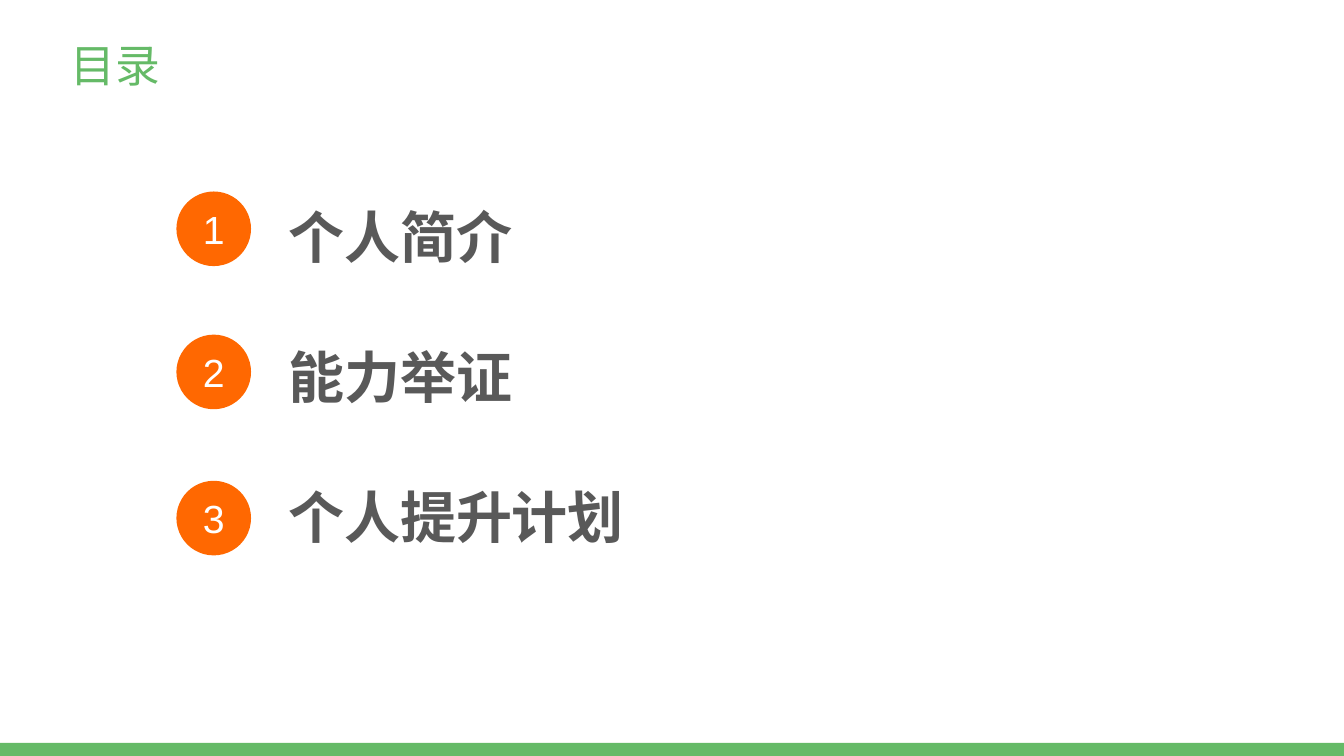
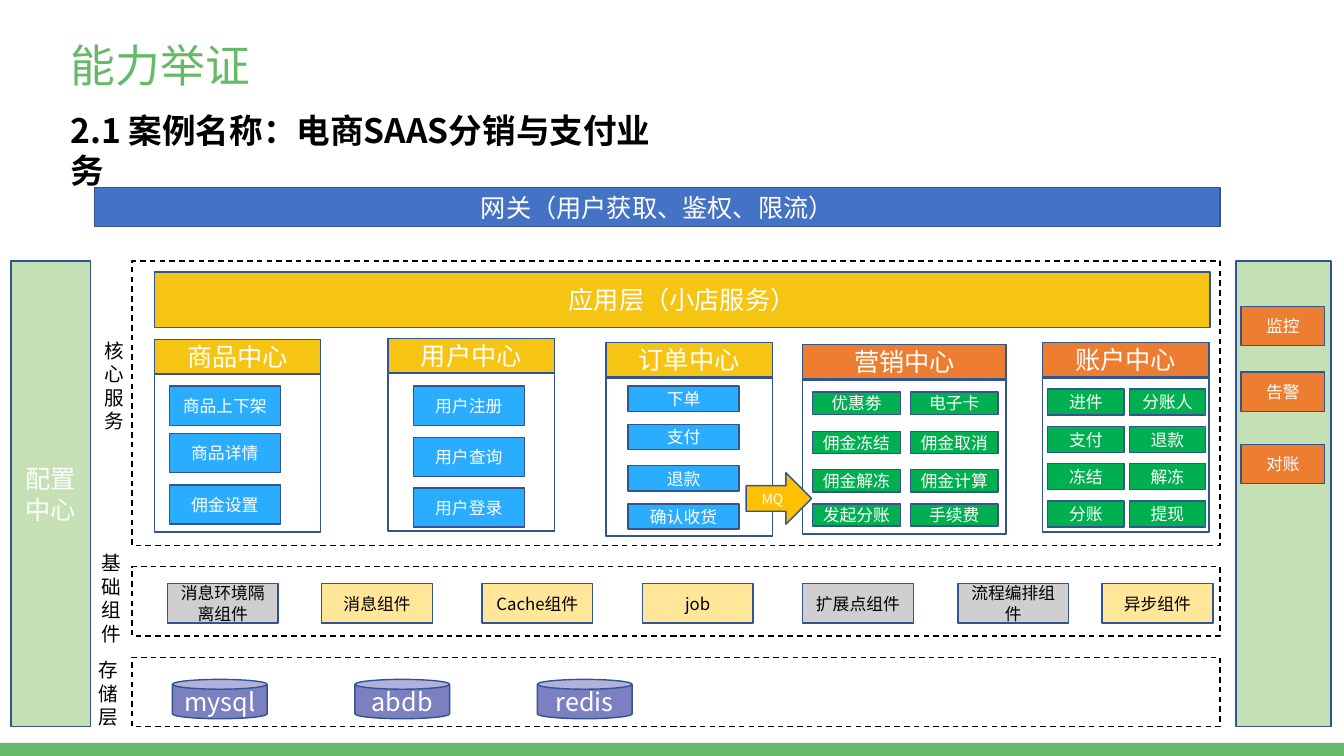
from dataclasses import dataclass
from itertools import product

from lxml import etree
from pptx import Presentation
from pptx import util as u
from pptx.dml.color import RGBColor
from pptx.enum import dml, shapes, text
from pptx.oxml.ns import qn

EMU_PER_PX = 9144
WIDTH, HEIGHT = 1333, 750
KIND = shapes.MSO_SHAPE
ALIGN = text.PP_ALIGN
ANCHOR = text.MSO_ANCHOR


@dataclass(frozen=True)
class Theme:
    latin: str = "Arial"
    cjk: str = "Noto Sans CJK SC"
    white: str = "FFFFFF"
    black: str = "000000"
    gray_text: str = "595959"
    brand: str = "65BA67"
    badge: str = "FF6801"
    outline: str = "325491"
    gateway: str = "4472C4"
    side: str = "C5E0B4"
    yellow: str = "F6C412"
    orange: str = "ED7D31"
    blue: str = "2AADFF"
    green: str = "00B050"
    cream: str = "FFE699"
    silver: str = "D0CECE"
    violet: str = "7C7FC0"
    amber: str = "FFC000"
    agenda_size: int = 40
    title_size: int = 32
    badge_size: int = 28
    subtitle_size: int = 24
    heading_size: int = 18
    label_size: int = 14
    chip_size: int = 12
    note_size: int = 10
    leading: float = 1.2


THEME = Theme()


@dataclass(frozen=True)
class Area:
    left: int
    top: int
    width: int
    height: int

    def emu(self) -> tuple:
        return tuple(px(n) for n in (self.left, self.top, self.width, self.height))


@dataclass(frozen=True)
class Center:
    """A service center: heading, frame and a grid of chips, row by row."""
    name: str
    heading: Area
    frame: Area
    heading_fill: str
    chip_fill: str
    columns: tuple
    rows: tuple
    chip_width: int
    chip_height: int
    chips: tuple


@dataclass(frozen=True)
class Component:
    left: int
    name: str
    fill: str


CENTERS = (
    Center("商品中心", Area(153, 337, 165, 34), Area(153, 371, 165, 157),
           THEME.yellow, THEME.blue, (168,), (383, 430, 481), 110, 39,
           ("商品上下架", "商品详情", "佣金设置")),
    Center("用户中心", Area(385, 336, 165, 34), Area(385, 370, 165, 157),
           THEME.yellow, THEME.blue, (410,), (383, 434, 484), 110, 39,
           ("用户注册", "用户查询", "用户登录")),
    Center("订单中心", Area(601, 340, 165, 34), Area(601, 375, 165, 157),
           THEME.yellow, THEME.blue, (623,), (383, 421, 462, 500), 110, 25,
           ("下单", "支付", "退款", "确认收货")),
    Center("营销中心", Area(796, 342, 202, 34), Area(796, 377, 202, 153),
           THEME.orange, THEME.green, (806, 903), (389, 428, 466, 500), 87, 22,
           ("优惠劵", "电子卡", "佣金冻结", "佣金取消",
            "佣金解冻", "佣金计算", "发起分账", "手续费")),
    Center("账户中心", Area(1034, 340, 165, 34), Area(1034, 375, 165, 153),
           THEME.orange, THEME.green, (1039, 1120), (386, 423, 460, 497), 76, 26,
           ("进件", "分账人", "支付", "退款", "冻结", "解冻", "分账", "提现")),
)

COMPONENTS = (
    Component(166, "消息环境隔离组件", THEME.silver),
    Component(319, "消息组件", THEME.cream),
    Component(478, "Cache组件", THEME.cream),
    Component(637, "job", THEME.cream),
    Component(796, "扩展点组件", THEME.silver),
    Component(950, "流程编排组件", THEME.silver),
    Component(1093, "异步组件", THEME.cream),
)


def px(count: int) -> u.Emu:
    return u.Emu(count * EMU_PER_PX)


def write(box, content: str, *, size: int, color: str = THEME.white,
          bold: bool = False, font: str = THEME.cjk, align=ALIGN.CENTER,
          anchor=ANCHOR.MIDDLE, wrap: bool = False,
          leading: float = THEME.leading) -> None:
    """Fill a shape with text, one paragraph for each line."""
    frame = box.text_frame
    frame.auto_size = text.MSO_AUTO_SIZE.NONE
    frame.word_wrap = wrap
    frame.vertical_anchor = anchor
    for index, line in enumerate(content.split("\n")):
        para = frame.add_paragraph() if index else frame.paragraphs[0]
        para.alignment = align
        para.line_spacing = u.Pt(round(size * leading, 1))
        span = para.add_run()
        span.text = line
        span.font.size = u.Pt(size)
        span.font.bold = bold
        span.font.color.rgb = RGBColor.from_string(color)
        span.font.name = font
        east_asian = etree.SubElement(span._r.get_or_add_rPr(), qn("a:ea"))
        east_asian.set("typeface", THEME.cjk)


def draw(page, area: Area, *, kind=KIND.RECTANGLE, fill: str | None = None,
         line: str | None = THEME.outline, dashed: bool = False):
    box = page.shapes.add_shape(kind, *area.emu())
    box.shadow.inherit = False
    if fill:
        box.fill.solid()
        box.fill.fore_color.rgb = RGBColor.from_string(fill)
    else:
        box.fill.background()
    if line:
        box.line.color.rgb = RGBColor.from_string(line)
        box.line.width = u.Pt(1)
        if dashed:
            box.line.dash_style = dml.MSO_LINE.DASH
    else:
        box.line.fill.background()
    return box


def draw_block(page, area: Area, content: str, fill: str, *,
               size: int = THEME.chip_size, color: str = THEME.white,
               wrap: bool = False, kind=KIND.RECTANGLE) -> None:
    """Draw an outlined shape with a centred caption."""
    box = draw(page, area, kind=kind, fill=fill)
    write(box, content, size=size, color=color, wrap=wrap)


def add_label(page, area: Area, content: str, **style) -> None:
    box = page.shapes.add_textbox(*area.emu())
    write(box, content, align=ALIGN.LEFT, anchor=ANCHOR.TOP, **style)


def add_page(deck, title: str):
    """Add a slide with the shared title and bottom band."""
    page = deck.slides.add_slide(deck.slide_layouts[5])
    draw(page, Area(0, 737, WIDTH, 13), fill=THEME.brand, line=None)
    heading = page.shapes.title
    heading.left, heading.top, heading.width, heading.height = \
        Area(60, 21, 1063, 87).emu()
    write(heading, title, size=THEME.title_size, color=THEME.brand,
          align=ALIGN.LEFT, wrap=True)
    return page


def draw_center(page, center: Center) -> None:
    draw(page, center.frame)
    draw_block(page, center.heading, center.name, center.heading_fill,
               size=THEME.heading_size)
    cells = product(center.rows, center.columns)
    for (top, left), chip in zip(cells, center.chips):
        area = Area(left, top, center.chip_width, center.chip_height)
        draw_block(page, area, chip, center.chip_fill)


def build_agenda(deck) -> None:
    page = add_page(deck, "目录")
    entries = (("个人简介", 190, 245), ("能力举证", 332, 245),
               ("个人提升计划", 477, 357))
    for index, (entry, badge_top, width) in enumerate(entries):
        add_label(page, Area(276, 182 + 139 * index, width, 85), entry,
                  size=THEME.agenda_size, color=THEME.gray_text, bold=True,
                  font=THEME.latin, leading=1.45)
        badge = draw(page, Area(175, badge_top, 74, 74), kind=KIND.OVAL,
                     fill=THEME.badge, line=None)
        write(badge, str(index + 1), size=THEME.badge_size, font=THEME.latin)


def build_architecture(deck) -> None:
    page = add_page(deck, "能力举证")
    add_label(page, Area(60, 104, 619, 50), "2.1 案例名称：电商SAAS分销与支付业务",
              size=THEME.subtitle_size, color=THEME.black, bold=True, wrap=True)

    draw_block(page, Area(94, 186, 1116, 39), "网关（用户获取、鉴权、限流）",
               THEME.gateway, size=THEME.heading_size)
    draw_block(page, Area(11, 259, 79, 462), "配置中心", THEME.side,
               size=THEME.heading_size, wrap=True)
    draw(page, Area(1226, 259, 94, 462), fill=THEME.side)
    for top, monitor in ((304, "监控"), (369, "告警"), (441, "对账")):
        draw_block(page, Area(1231, top, 83, 39), monitor, THEME.orange)

    for top, height in ((259, 282), (562, 69), (652, 69)):
        draw(page, Area(131, top, 1079, height), line=THEME.black, dashed=True)
    layers = (("核心服务", 94, 331), ("基础组件", 91, 542), ("存储层", 88, 648))
    for layer, left, top in layers:
        add_label(page, Area(left, top, 40, 10 + 24 * len(layer)),
                  "\n".join(layer), size=THEME.label_size, color=THEME.black)

    draw_block(page, Area(153, 270, 1047, 55), "应用层（小店服务）",
               THEME.yellow, size=THEME.heading_size)
    for center in CENTERS:
        draw_center(page, center)
    draw_block(page, Area(740, 469, 65, 51), "MQ", THEME.amber,
               size=THEME.note_size, kind=KIND.RIGHT_ARROW)

    for component in COMPONENTS:
        draw_block(page, Area(component.left, 579, 110, 39), component.name,
                   component.fill, color=THEME.black, wrap=True)
    for index, store in enumerate(("mysql", "abdb", "redis")):
        draw_block(page, Area(171 + 181 * index, 674, 94, 39), store,
                   THEME.violet, size=THEME.heading_size, kind=KIND.CAN)


def main() -> None:
    deck = Presentation()
    deck.slide_width, deck.slide_height = px(WIDTH), px(HEIGHT)
    build_agenda(deck)
    build_architecture(deck)
    deck.save("out.pptx")


if __name__ == "__main__":
    main()
